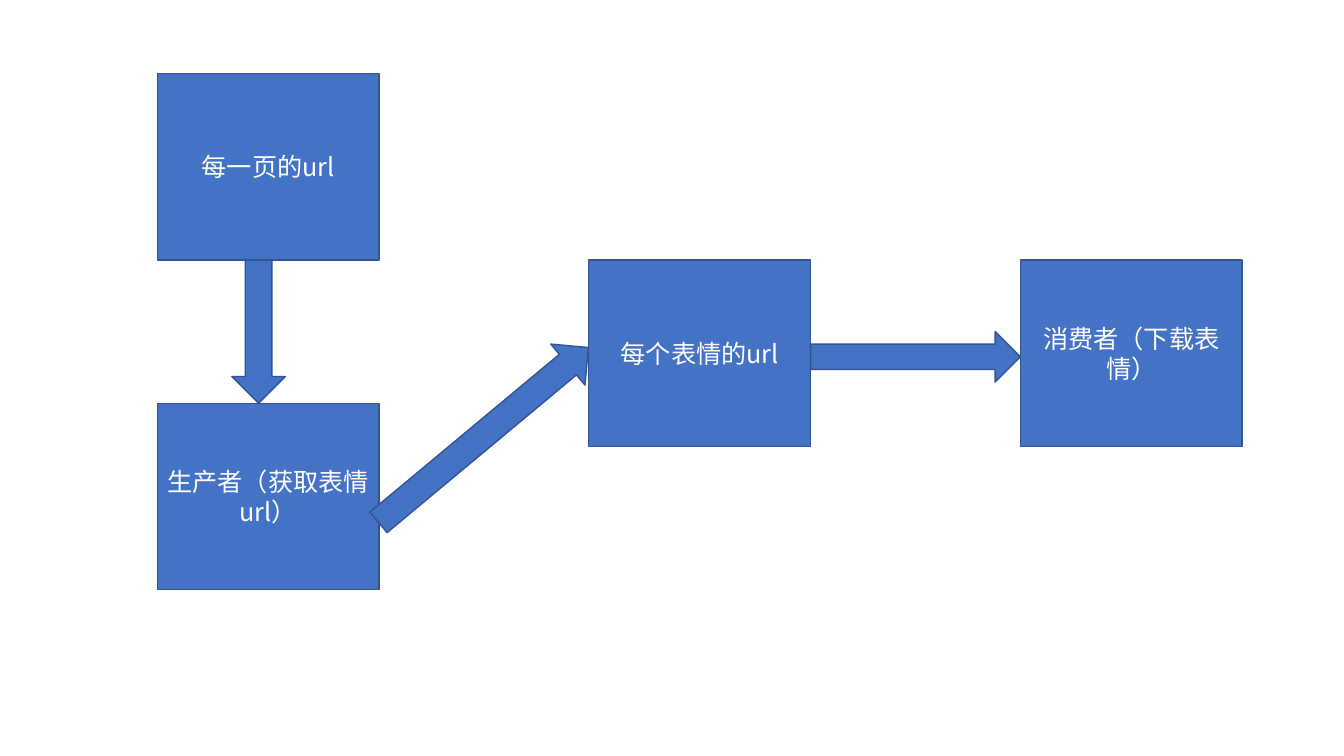
from lxml.etree import SubElement
from pptx import Presentation
from pptx.dml.color import RGBColor
from pptx.enum.shapes import MSO_SHAPE as Preset
from pptx.enum.text import MSO_ANCHOR as Anchor, PP_ALIGN as Align
from pptx.oxml.ns import qn
from pptx.util import Inches, Pt

COLORS = {"fill": "4472C4", "outline": "325491", "text": "FFFFFF"}
FONT = "Noto Sans CJK SC"
STEP_WIDTH, STEP_HEIGHT = 2.2, 1.85
COLUMNS = [1.56 + 4.28 * column for column in range(3)]
TOP_ROW, MIDDLE_ROW, BOTTOM_ROW = 0.73, 2.58, 4
ARROW_WIDTH = 0.53


def add_block(slide, preset, box, rotation=0):
    """Add a filled, outlined preset shape in the given box."""
    block = slide.shapes.add_shape(preset, *map(Inches, box))
    block.rotation = rotation
    block.shadow.inherit = False
    block.fill.solid()
    block.fill.fore_color.rgb = RGBColor.from_string(COLORS["fill"])
    block.line.color.rgb = RGBColor.from_string(COLORS["outline"])
    block.line.width = Pt(1)
    return block


def add_step(slide, box, label):
    """Add one labelled step of the flow."""
    frame = add_block(slide, Preset.RECTANGLE, box).text_frame
    frame.word_wrap = True
    frame.vertical_anchor = Anchor.MIDDLE
    frame.text = label
    paragraph = frame.paragraphs[0]
    paragraph.alignment = Align.CENTER
    font = paragraph.runs[0].font
    font.size = Pt(18)
    font.name = FONT
    font.color.rgb = RGBColor.from_string(COLORS["text"])
    SubElement(paragraph.runs[0]._r.get_or_add_rPr(), qn("a:ea"), typeface=FONT)


def add_flow(slide, left, top):
    """Add the producer and consumer flow from its top left corner."""
    down, across = top - TOP_ROW, left - COLUMNS[0]
    page, emoji, consumer = [across + column for column in COLUMNS]
    upper, middle, lower = [down + row for row in (TOP_ROW, MIDDLE_ROW, BOTTOM_ROW)]
    steps = [
        (page, upper, "每一页的url"),
        (emoji, middle, "每个表情的url"),
        (page, lower, "生产者（获取表情url）"),
        (consumer, middle, "消费者（下载表情）"),
    ]
    for step_left, step_top, label in steps:
        add_step(slide, (step_left, step_top, STEP_WIDTH, STEP_HEIGHT), label)

    page_bottom = upper + STEP_HEIGHT
    emoji_right = emoji + STEP_WIDTH
    arrows = [
        (Preset.DOWN_ARROW, (page + 0.74, page_bottom, ARROW_WIDTH, lower - page_bottom), 0),
        (Preset.DOWN_ARROW, (page + 2.97, middle + 0.38, ARROW_WIDTH, 2.71), 230.2),
        (Preset.RIGHT_ARROW, (emoji_right, middle + 0.71, consumer - emoji_right, 0.5), 0),
    ]
    for preset, box, rotation in arrows:
        add_block(slide, preset, box, rotation)


deck = Presentation()
deck.slide_width, deck.slide_height = Inches(13.33), Inches(7.5)
flow_slide = deck.slides.add_slide(deck.slide_layouts[6])
add_flow(flow_slide, COLUMNS[0], TOP_ROW)
deck.save("out.pptx")
